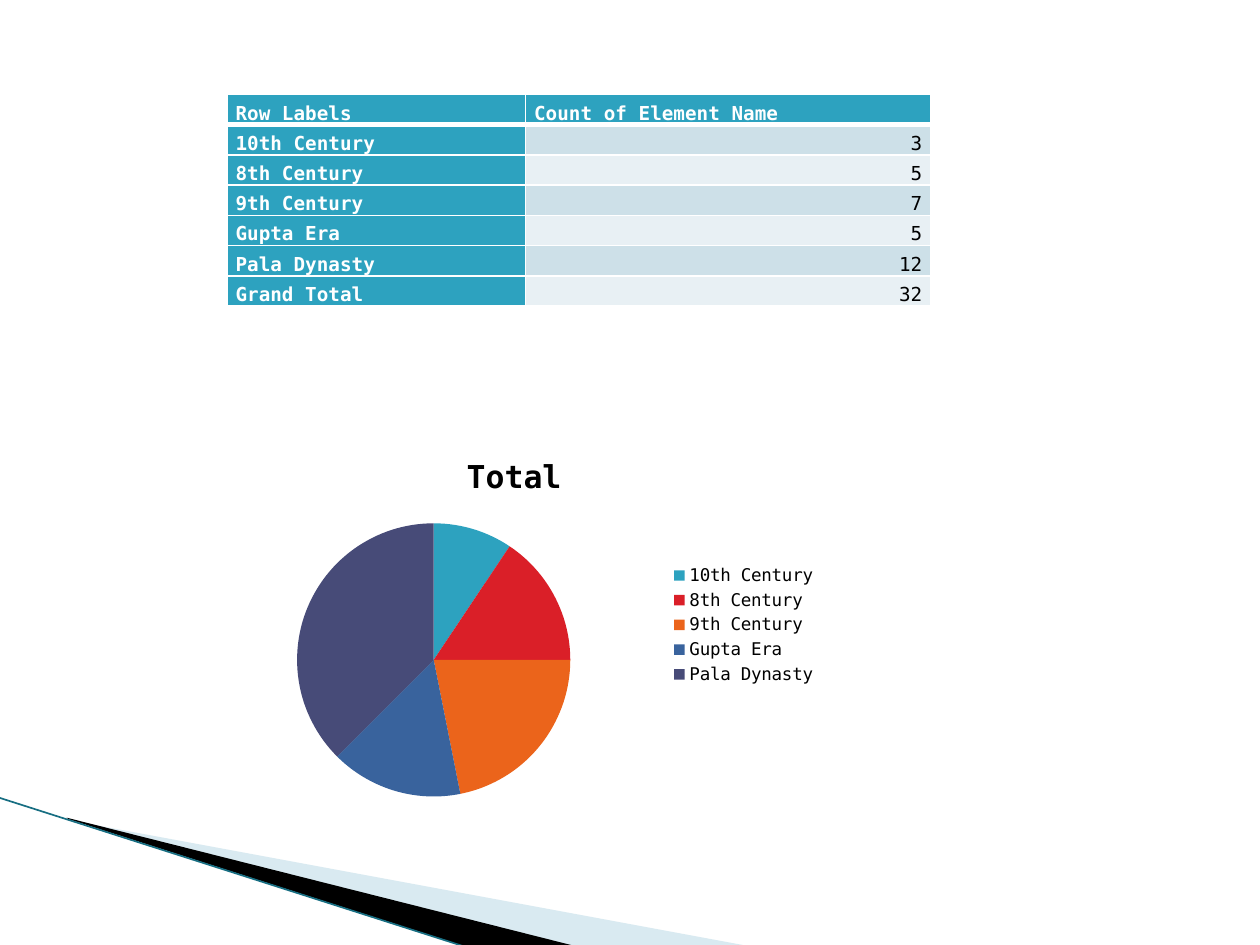
from lxml import etree
from pptx import Presentation
from pptx.chart.data import CategoryChartData
from pptx.dml.color import RGBColor
from pptx.enum import chart as charts, shapes, text
from pptx.oxml.ns import qn
from pptx.util import Inches, Pt

WHITE = RGBColor(0xFF, 0xFF, 0xFF)
BLACK = RGBColor(0, 0, 0)
TEAL = RGBColor(0x2D, 0xA2, 0xBF)
DARK_TEAL = RGBColor(0x17, 0x6E, 0x82)
LIGHT_BLUE = RGBColor(0xA0, 0xCB, 0xDC)
BANDS = [RGBColor(0xE8, 0xF0, 0xF4), RGBColor(0xCD, 0xE0, 0xE8)]
SLICES = [TEAL, RGBColor(0xDA, 0x1F, 0x28), RGBColor(0xEB, 0x64, 0x1B),
          RGBColor(0x39, 0x63, 0x9D), RGBColor(0x47, 0x4B, 0x78)]
FONT = "DejaVu Sans Mono"
COUNTS = {"10th Century": 3, "8th Century": 5, "9th Century": 7,
          "Gupta Era": 5, "Pala Dynasty": 12}


def format_font(font, **values):
    for name, value in {"name": FONT, **values}.items():
        if name == "color":
            font.color.rgb = value
        else:
            setattr(font, name, value)


def add_borders(cell, widths):
    """Draw white cell edges; widths maps L, R, T, B to points."""
    properties = cell._tc.get_or_add_tcPr()
    for index, (side, width) in enumerate(widths.items()):
        line = etree.Element(qn(f"a:ln{side}"), w=str(Pt(width)))
        fill = etree.SubElement(line, qn("a:solidFill"))
        etree.SubElement(fill, qn("a:srgbClr"), val=str(WHITE))
        properties.insert(index, line)


deck = Presentation()
deck.slide_width, deck.slide_height = Inches(10), Inches(7.5)
page = deck.slides.add_slide(deck.slide_layouts[6])

# Corner wedges and their edge line
wedges = [
    (LIGHT_BLUE, 40, [(0.55, 6.51), (5.95, 7.51), (4.56, 7.51), (0.55, 6.5)]),
    (BLACK, 100, [(0.53, 6.49), (4.57, 7.51), (3.72, 7.52), (0.54, 6.5)]),
]
for color, opacity, corners in wedges:
    points = [(Inches(x), Inches(y)) for x, y in corners]
    outline = page.shapes.build_freeform(*points[0])
    outline.add_line_segments(points[1:], close=True)
    wedge = outline.convert_to_shape()
    wedge.shadow.inherit = False
    wedge.fill.solid()
    wedge.fill.fore_color.rgb = color
    wedge.line.fill.background()
    tint = wedge._element.spPr.find(f"{qn('a:solidFill')}/{qn('a:srgbClr')}")
    etree.SubElement(tint, qn("a:alpha"), val=str(opacity * 1000))

edge = page.shapes.add_connector(shapes.MSO_CONNECTOR.STRAIGHT, Inches(-0.01),
                                 Inches(6.33), Inches(3.71), Inches(7.52))
edge.line.color.rgb = DARK_TEAL
edge.line.width = Pt(0.95)
etree.SubElement(edge._element.spPr, qn("a:effectLst"))

# Table of counts
rows = [("Row Labels", "Count of Element Name"), *COUNTS.items(),
        ("Grand Total", sum(COUNTS.values()))]
table = page.shapes.add_table(len(rows), 2, Inches(1.8), Inches(0.75),
                              Inches(5.58), Inches(1.68)).table
for column, width in zip(table.columns, (2.37, 3.22)):
    column.width = Inches(width)
for row_index, row in enumerate(rows):
    table.rows[row_index].height = Inches(0.24)
    for column_index, value in enumerate(row):
        is_heading = row_index == 0 or column_index == 0
        cell = table.cell(row_index, column_index)
        cell.fill.solid()
        cell.fill.fore_color.rgb = TEAL if is_heading else BANDS[row_index % 2]
        cell.vertical_anchor = text.MSO_ANCHOR.BOTTOM
        cell.margin_left = cell.margin_right = Inches(0.07)
        cell.margin_top = cell.margin_bottom = 0
        add_borders(cell, {"L": 1, "R": 1, "T": 3 if row_index == 1 else 1,
                           "B": 3 if row_index == 0 else 1})
        para = cell.text_frame.paragraphs[0]
        para.line_spacing = 1.15
        para.alignment = text.PP_ALIGN.LEFT if is_heading else text.PP_ALIGN.RIGHT
        span = para.add_run()
        span.text = str(value)
        format_font(span.font, size=Pt(11), bold=is_heading,
                    color=WHITE if is_heading else BLACK)

# Pie of the same counts
data = CategoryChartData()
data.categories = list(COUNTS)
data.add_series("Total", list(COUNTS.values()))
pie = page.shapes.add_chart(charts.XL_CHART_TYPE.PIE, Inches(1.58), Inches(3.46),
                            Inches(5), Inches(3), data).chart
format_font(pie.font, size=Pt(10), color=BLACK)
pie.has_title = True
title = pie.chart_title.text_frame
title.text = "Total"
format_font(title.paragraphs[0].runs[0].font, size=Pt(18), bold=True, color=BLACK)
pie.has_legend = True
pie.legend.position = charts.XL_LEGEND_POSITION.RIGHT
pie.legend.include_in_layout = False
plot = pie.plots[0]
plot.vary_by_categories = True
for index, color in enumerate(SLICES):
    slice_format = plot.series[0].points[index].format
    slice_format.fill.solid()
    slice_format.fill.fore_color.rgb = color
    slice_format.line.fill.background()

deck.save("out.pptx")
